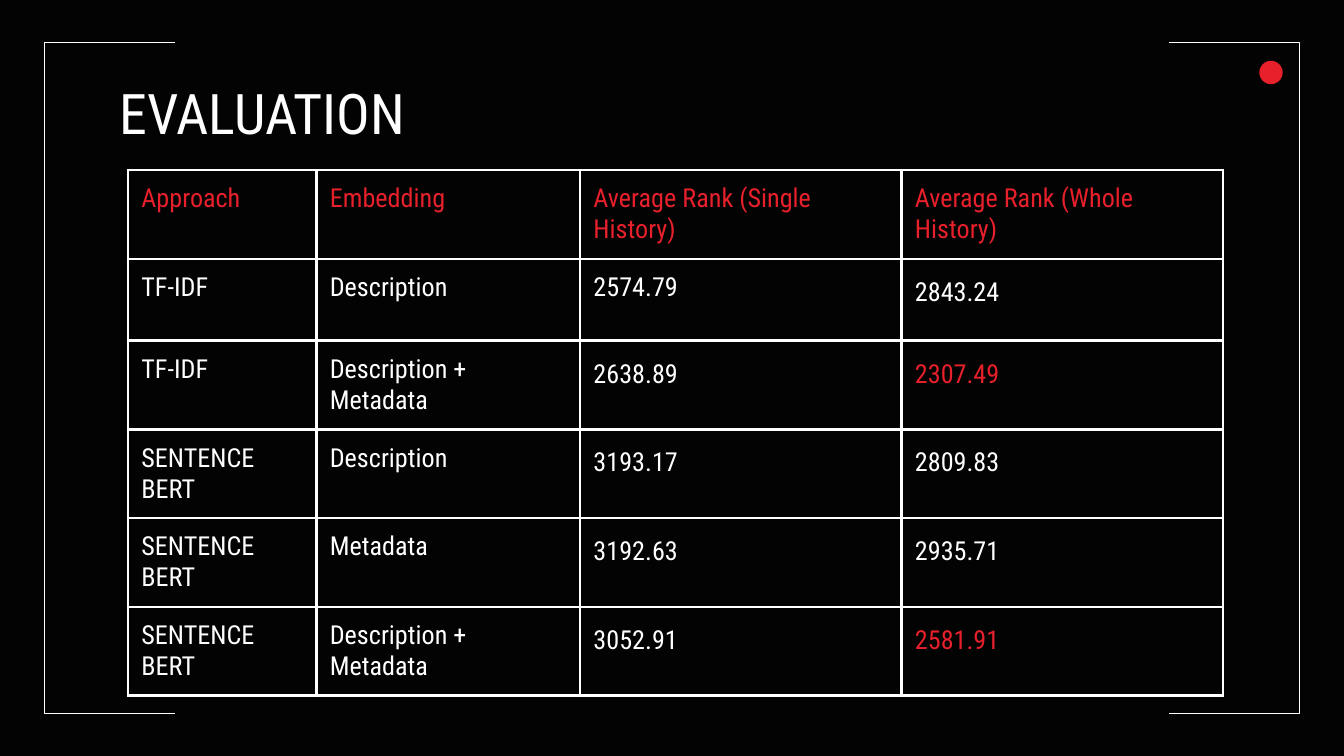
from lxml import etree
from pptx import Presentation
from pptx.dml.color import RGBColor
from pptx.enum.shapes import MSO_SHAPE
from pptx.enum.text import MSO_ANCHOR, PP_ALIGN
from pptx.oxml.ns import qn
from pptx.util import Inches, Pt

OVAL = MSO_SHAPE.OVAL
TOP = MSO_ANCHOR.TOP
LEFT = PP_ALIGN.LEFT
TITLE_ONLY = 5
WHITE, RED, BLACK = "FFFFFF", "E8202B", "030303"

HEADER = ["Approach", "Embedding", "Average Rank (Single History)", "Average Rank (Whole History)"]
RESULTS = [
    ["TF-IDF", "Description", "2574.79", "2843.24"],
    ["TF-IDF", "Description + Metadata", "2638.89", "2307.49"],
    ["SENTENCE BERT", "Description", "3193.17", "2809.83"],
    ["SENTENCE BERT", "Metadata", "3192.63", "2935.71"],
    ["SENTENCE BERT", "Description + Metadata", "3052.91", "2581.91"],
]
BEST = {"2307.49", "2581.91"}


def rgb(color):
    return RGBColor.from_string(color)


def write(tf, text, size=14, color=WHITE, font="Roboto Condensed", spacing=1.0):
    tf.word_wrap = True
    p = tf.paragraphs[0]
    p.alignment = LEFT
    p.line_spacing = spacing
    r = p.add_run()
    r.text = text
    r.font.size = Pt(size)
    r.font.name = font
    r.font.color.rgb = rgb(color)


class Deck:
    """Positions are percentages of the slide's width and height."""

    def __init__(self, width, height):
        self.prs = Presentation()
        self.prs.slide_width = Inches(width)
        self.prs.slide_height = Inches(height)
        self.margin = Inches(0.1)

    def x(self, share):
        return round(self.prs.slide_width * share / 100)

    def y(self, share):
        return round(self.prs.slide_height * share / 100)

    def box(self, left, top, width, height):
        return self.x(left), self.y(top), self.x(width), self.y(height)

    def set_margins(self, target):
        target.margin_left = target.margin_right = self.margin
        target.margin_top = target.margin_bottom = self.margin

    def add_slide(self, color):
        self.s = self.prs.slides.add_slide(self.prs.slide_layouts[TITLE_ONLY])
        fill = self.s.background.fill
        fill.solid()
        fill.fore_color.rgb = rgb(color)

    def bracket(self, tip, edge, top, bottom):
        corners = [(edge, top), (edge, bottom), (tip, bottom)]
        fb = self.s.shapes.build_freeform(self.x(tip), self.y(top))
        fb.add_line_segments([(self.x(a), self.y(b)) for a, b in corners], close=False)
        sp = fb.convert_to_shape()
        sp.shadow.inherit = False
        sp.fill.background()
        sp.line.color.rgb = rgb(WHITE)
        sp.line.width = Pt(0.75)

    def dot(self, left, top, size, color):
        side = self.x(size)
        sp = self.s.shapes.add_shape(OVAL, self.x(left), self.y(top), side, side)
        sp.shadow.inherit = False
        sp.fill.solid()
        sp.fill.fore_color.rgb = rgb(color)
        sp.line.fill.background()

    def title(self, text, *area):
        sp = self.s.shapes.title
        sp.left, sp.top, sp.width, sp.height = self.box(*area)
        tf = sp.text_frame
        self.set_margins(tf)
        tf.vertical_anchor = TOP
        write(tf, text, size=30)

    def border(self, cell, color, width):
        tcPr = cell._tc.get_or_add_tcPr()
        for side in ("lnL", "lnR", "lnT", "lnB"):
            ln = etree.SubElement(tcPr, qn(f"a:{side}"), w=str(Pt(width)))
            fill = etree.SubElement(ln, qn("a:solidFill"))
            etree.SubElement(fill, qn("a:srgbClr"), val=color)

    def table(self, rows, widths, left, top, height):
        area = self.box(left, top, sum(widths), height)
        table = self.s.shapes.add_table(len(rows), len(widths), *area).table
        table.first_row = table.horz_banding = False
        for column, width in zip(table.columns, widths):
            column.width = self.x(width)
        for i, row in enumerate(rows):
            for j, text in enumerate(row):
                cell = table.cell(i, j)
                self.set_margins(cell)
                cell.vertical_anchor = TOP
                self.border(cell, WHITE, 1.5)
                cell.fill.background()
                color = RED if i == 0 or text in BEST else WHITE
                spacing = 1.15 if j >= 2 and i + j > 3 else 1.0
                write(cell.text_frame, text, color=color, spacing=spacing)


def main():
    deck = Deck(10, 10 * 9 / 16)
    deck.add_slide(BLACK)
    for tip, edge in ((13.05, 3.3), (86.95, 96.7)):
        deck.bracket(tip, edge, 5.6, 94.4)
    deck.dot(93.7, 8.05, 1.74, RED)
    deck.title("EVALUATION", 7.9, 8.6, 84.3, 11.2)
    deck.table([HEADER] + RESULTS, [14.02, 19.62, 23.92, 23.92], 9.52, 22.5, 64.9)
    deck.prs.save("out.pptx")


if __name__ == "__main__":
    main()
